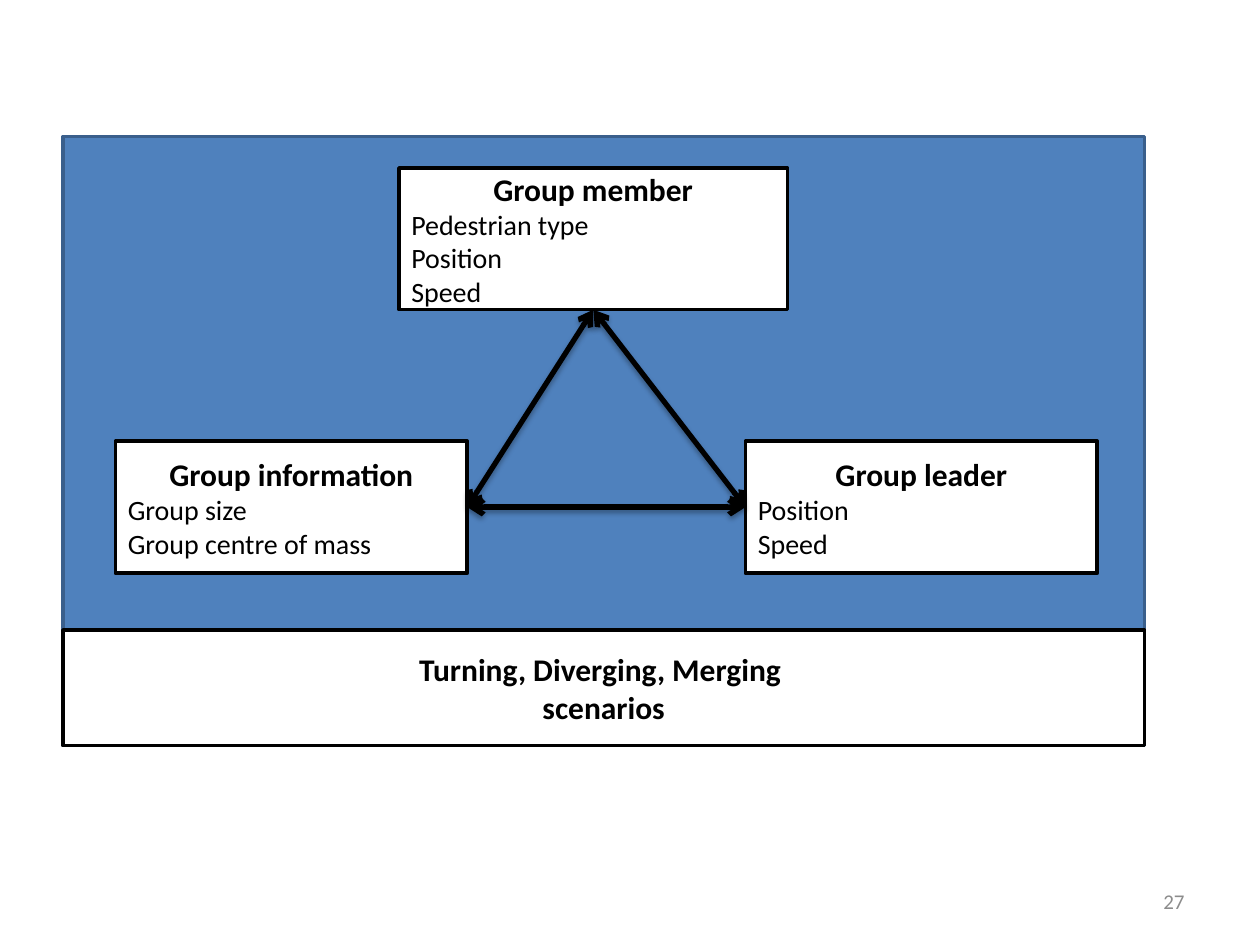
from collections import namedtuple
from itertools import combinations

from lxml import etree
from pptx import Presentation
from pptx import util as u
from pptx.dml.color import RGBColor
from pptx.enum import shapes, text
from pptx.oxml import ns

BLACK = RGBColor(0x00, 0x00, 0x00)
WHITE = RGBColor(0xFF, 0xFF, 0xFF)
BLUE = RGBColor(0x4F, 0x81, 0xBD)
DARK_BLUE = RGBColor(0x3A, 0x5F, 0x8C)
GREY = RGBColor(0x8C, 0x8C, 0x8C)

GRID = u.Inches(1) // 12
Box = namedtuple("Box", "left top width height")
BOTTOM, LEFT, RIGHT = 2, 1, 3

HEADING = {"size": u.Pt(18), "bold": True, "color": BLACK}
DETAIL = {"size": u.Pt(16), "bold": False, "color": BLACK}
NUMBER = {"size": u.Pt(12), "bold": False, "color": GREY}


def inside(box, left, top, width, height):
    return Box(box.left + left, box.top + top, width, height)


def to_lengths(box):
    return [u.Emu(round(value * GRID)) for value in box]


def write_lines(frame, lines):
    frame.word_wrap = True
    frame.vertical_anchor = text.MSO_ANCHOR.MIDDLE
    for index, (words, alignment, style) in enumerate(lines):
        paragraph = frame.paragraphs[0] if index == 0 else frame.add_paragraph()
        paragraph.alignment = alignment
        run = paragraph.add_run()
        run.text = words
        run.font.name = "Calibri"
        for name, value in style.items():
            if name == "color":
                run.font.color.rgb = value
            else:
                setattr(run.font, name, value)


def add_rectangle(slide, box, fill=WHITE, line=BLACK):
    shape = slide.shapes.add_shape(shapes.MSO_SHAPE.RECTANGLE, *to_lengths(box))
    shape.shadow.inherit = False
    shape.fill.solid()
    shape.fill.fore_color.rgb = fill
    shape.line.color.rgb = line
    shape.line.width = u.Pt(2)
    return shape


def add_card(slide, box, heading, details):
    card = add_rectangle(slide, box)
    lines = [(heading, text.PP_ALIGN.CENTER, HEADING)]
    lines += [(detail, text.PP_ALIGN.LEFT, DETAIL) for detail in details]
    write_lines(card.text_frame, lines)
    return card


def add_child(parent, tag, **attributes):
    return etree.SubElement(parent, ns.qn(tag), attributes)


def add_double_arrow(slide, start, end):
    arrow = slide.shapes.add_connector(shapes.MSO_CONNECTOR.STRAIGHT, 0, 0, 0, 0)
    arrow.begin_connect(*start)
    arrow.end_connect(*end)
    arrow.line.color.rgb = BLACK
    arrow.line.width = u.Pt(3)
    properties = arrow.element.spPr
    line = properties.find(ns.qn("a:ln"))
    for tag in ("a:headEnd", "a:tailEnd"):
        add_child(line, tag, type="arrow")
    effects = add_child(properties, "a:effectLst")
    shadow = add_child(effects, "a:outerShdw", blurRad=str(u.Pt(3.1)),
                       dist=str(u.Pt(1.8)), dir="5400000", rotWithShape="0")
    color = add_child(shadow, "a:srgbClr", val=str(BLACK))
    add_child(color, "a:alpha", val="35000")


def add_group_model(slide, box):
    add_rectangle(slide, box, BLUE, DARK_BLUE)
    information = add_card(slide, inside(box, 5, 29, 33.5, 12.6), "Group information",
                           ["Group size", "Group centre of mass"])
    member = add_card(slide, inside(box, 32, 3, 37, 13.5), "Group member",
                      ["Pedestrian type", "Position", "Speed"])
    leader = add_card(slide, inside(box, 65, 29, 33.5, 12.6), "Group leader",
                      ["Position", "Speed"])
    corners = [(member, BOTTOM), (information, RIGHT), (leader, LEFT)]
    for start, end in combinations(corners, 2):
        add_double_arrow(slide, start, end)


def add_scenarios(slide, box):
    banner = add_rectangle(slide, box)
    write_lines(banner.text_frame, [(words, text.PP_ALIGN.CENTER, HEADING) for words in
                                    ("Turning, Diverging, Merging ", "scenarios")])


def add_slide_number(slide, box, number):
    label = slide.shapes.add_textbox(*to_lengths(box))
    write_lines(label.text_frame, [(number, text.PP_ALIGN.RIGHT, NUMBER)])


def main():
    presentation = Presentation()
    presentation.slide_width = 120 * GRID
    presentation.slide_height = 90 * GRID
    slide = presentation.slides.add_slide(presentation.slide_layouts[6])
    add_group_model(slide, Box(6, 13, 103, 58))
    add_scenarios(slide, Box(6, 60, 103, 11))
    add_slide_number(slide, Box(86, 83.4, 28, 4.8), "27")
    presentation.save("out.pptx")


if __name__ == "__main__":
    main()
